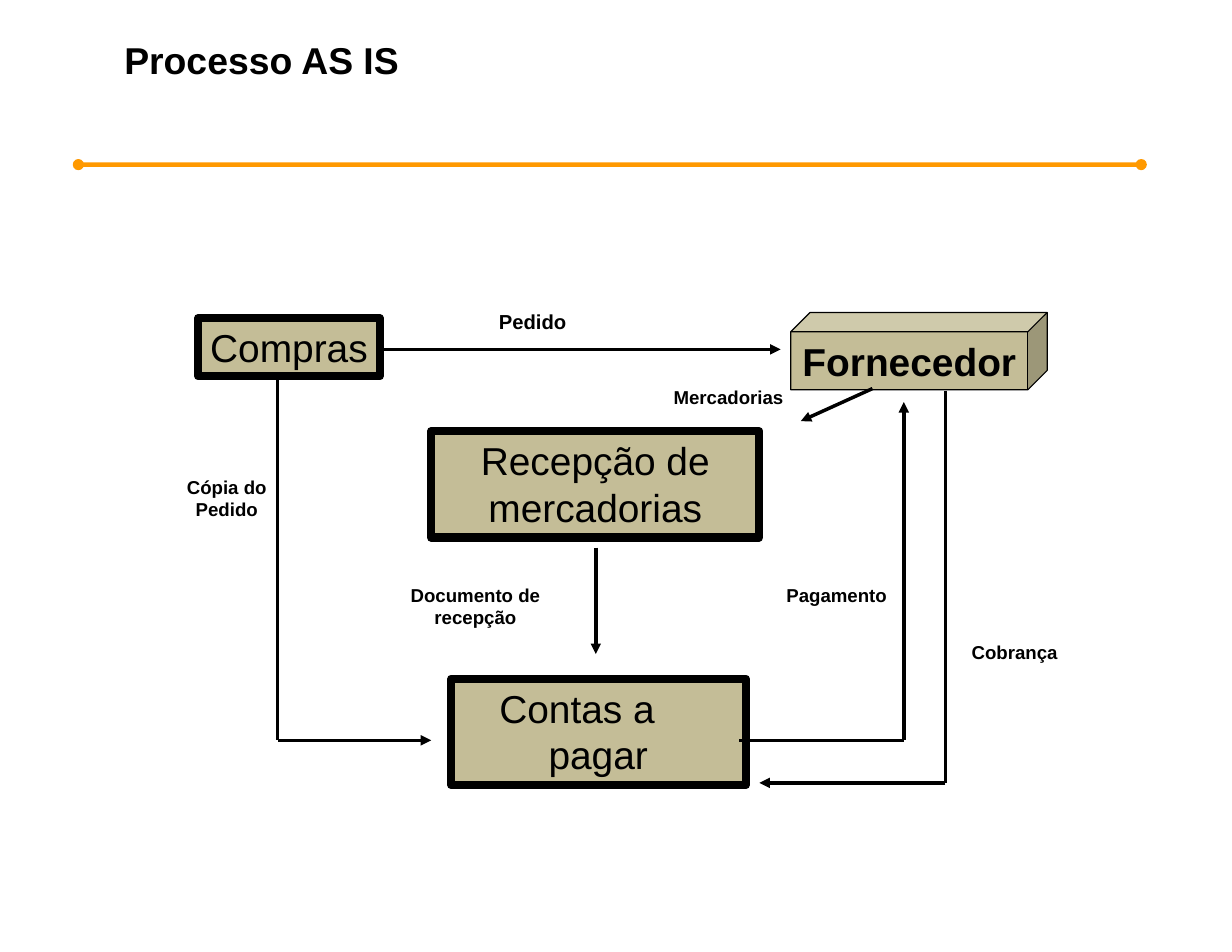
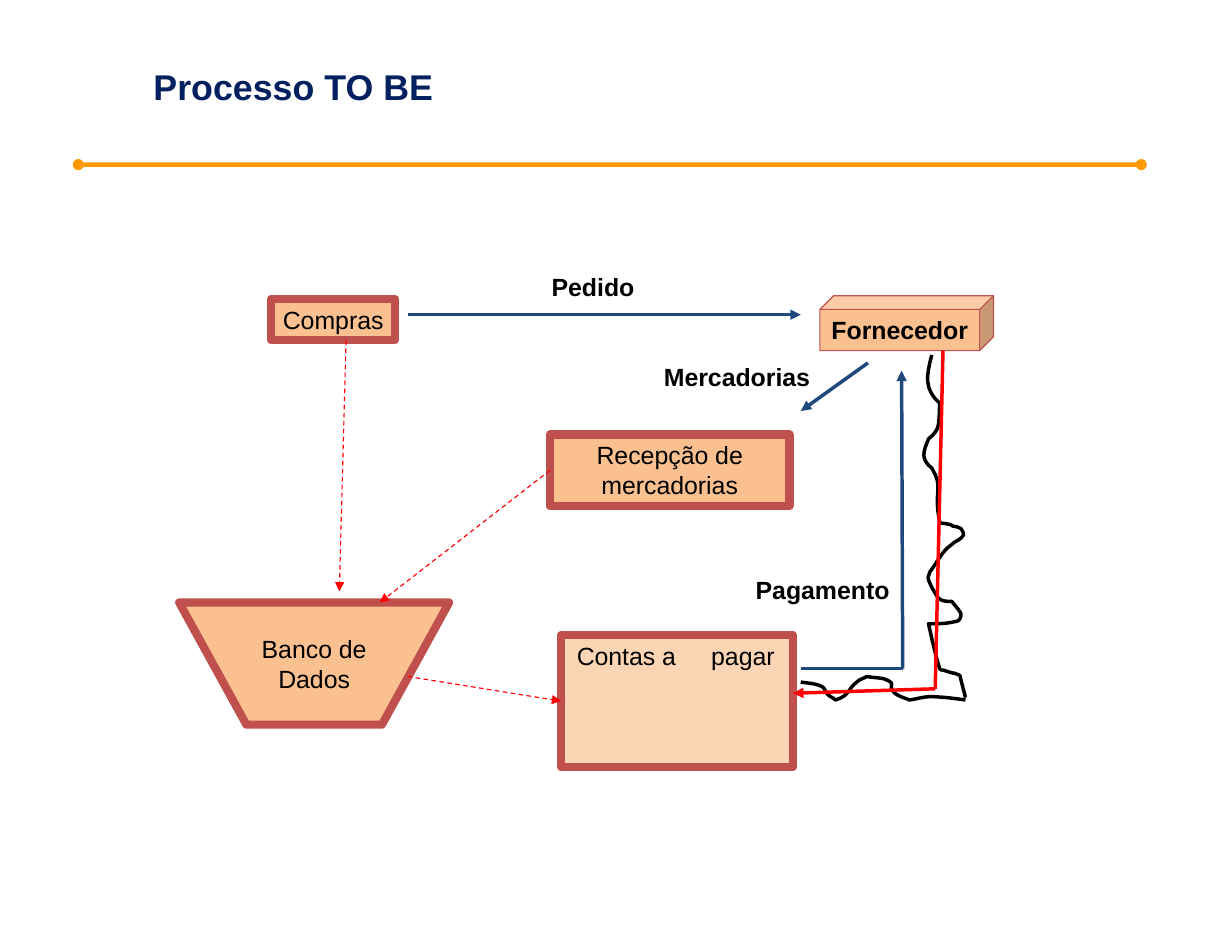
from lxml import etree
from pptx import Presentation, util as u
from pptx.dml.color import RGBColor
from pptx.enum import dml, shapes, text
from pptx.oxml.ns import qn

FONT = "Arial"
COLORS = {
    "black": "000000",
    "navy": "002060",
    "blue": "1F497D",
    "red": "FF0000",
    "orange": "FF9900",
    "khaki": "C4BD97",
    "peach": "FAC090",
    "light peach": "FCD5B5",
    "brick": "C0504D",
}
BORDER = 5.25
FLOW = 2.25
RECTANGLE = shapes.MSO_SHAPE.RECTANGLE
CUBE = shapes.MSO_SHAPE.CUBE
LEFT = text.PP_ALIGN.LEFT
CENTER = text.PP_ALIGN.CENTER
TOP = text.MSO_ANCHOR.TOP
MIDDLE = text.MSO_ANCHOR.MIDDLE


def color(name):
    return RGBColor.from_string(COLORS[name])


def lengths(values):
    return [u.Inches(value) for value in values]


def write(shape, content, size=16, bold=False, ink="black", align=CENTER,
          anchor=TOP, wrap=True, insets=(0.1, 0.05)):
    frame = shape.text_frame
    frame.text = content
    frame.word_wrap = wrap
    frame.auto_size = text.MSO_AUTO_SIZE.NONE
    frame.vertical_anchor = anchor
    frame.margin_left = frame.margin_right = u.Inches(insets[0])
    frame.margin_top = frame.margin_bottom = u.Inches(insets[1])
    for paragraph in frame.paragraphs:
        paragraph.alignment = align
        font = paragraph.font
        for run in paragraph.runs:
            font = run.font
            font.name = FONT
            font.size = u.Pt(size)
            font.bold = bold
            font.color.rgb = color(ink)


def paint(shape, fill=None, line=None, width=BORDER):
    shape.shadow.inherit = False
    if fill:
        shape.fill.solid()
        shape.fill.fore_color.rgb = color(fill)
    else:
        shape.fill.background()
    if line:
        shape.line.color.rgb = color(line)
        shape.line.width = u.Pt(width)
    else:
        shape.line.fill.background()


def add_box(slide, place, content, fill, line, kind=RECTANGLE, width=BORDER,
            **style):
    shape = slide.shapes.add_shape(kind, *lengths(place))
    paint(shape, fill, line, width)
    write(shape, content, **style)
    return shape


def add_label(slide, place, content, size, **style):
    shape = slide.shapes.add_textbox(*lengths(place))
    write(shape, content, size=size, bold=True, **style)


def add_flow(slide, points, ink="black", width=FLOW, dashed=False):
    for start, end in zip(points, points[1:]):
        connector = slide.shapes.add_connector(
            shapes.MSO_CONNECTOR.STRAIGHT, *lengths(start + end))
        connector.line.color.rgb = color(ink)
        connector.line.width = u.Pt(width)
        if dashed:
            connector.line.dash_style = dml.MSO_LINE.DASH
        properties = connector._element.spPr
        etree.SubElement(properties, qn("a:effectLst"))
    outline = properties.find(qn("a:ln"))
    etree.SubElement(outline, qn("a:tailEnd"), type="triangle")


def add_outline(slide, points, closed=False, **look):
    corners = [tuple(lengths(point)) for point in points]
    builder = slide.shapes.build_freeform(*corners[0])
    builder.add_line_segments(corners[1:], close=closed)
    shape = builder.convert_to_shape()
    paint(shape, **look)
    return shape


def add_curve(slide, start, segments, steps=8):
    points = [start]
    for x1, y1, x2, y2, x3, y3 in segments:
        x0, y0 = points[-1]
        for step in range(1, steps + 1):
            t = step / steps
            weights = ((1 - t) ** 3, 3 * t * (1 - t) ** 2,
                       3 * t ** 2 * (1 - t), t ** 3)
            points.append(tuple(
                sum(weight * value for weight, value in zip(weights, values))
                for values in ((x0, x1, x2, x3), (y0, y1, y2, y3))))
    add_outline(slide, points, line="black", width=FLOW)


def add_slide(presentation, title, place, **style):
    slide = presentation.slides.add_slide(presentation.slide_layouts[5])
    heading = slide.shapes.title
    heading.left, heading.top, heading.width, heading.height = lengths(place)
    write(heading, title, bold=True, align=LEFT, insets=(0, 0), **style)
    oval = shapes.MSO_SHAPE.OVAL
    for kind, rule in ((RECTANGLE, (0.7, 1.45, 9.49, 0.04)),
                       (oval, (0.65, 1.42, 0.1, 0.1)),
                       (oval, (10.14, 1.42, 0.1, 0.1))):
        paint(slide.shapes.add_shape(kind, *lengths(rule)), "orange")
    return slide


def build_as_is(presentation):
    slide = add_slide(presentation, "Processo AS IS",
                      (1.11, 0.33, 7.28, 0.79), size=24)
    look = {"fill": "khaki", "line": "black", "size": 25}
    add_box(slide, (1.77, 2.84, 1.62, 0.52), "Compras", wrap=False, **look)
    add_box(slide, (3.85, 3.85, 2.93, 0.95), "Recepção de mercadorias", **look)
    payables = add_box(slide, (4.03, 6.06, 2.63, 0.95), "Contas a pagar",
                       align=LEFT, **look)
    indents = payables.text_frame.paragraphs[0]._p.get_or_add_pPr()
    indents.set("marL", str(u.Inches(0.77)))
    indents.set("indent", str(u.Inches(-0.44)))
    add_box(slide, (7.06, 2.79, 2.29, 0.69), "Fornecedor", kind=CUBE,
            width=0.75, bold=True, wrap=False, **look)

    for points in (
        [(2.48, 3.38), (2.48, 6.61), (3.85, 6.61)],
        [(6.6, 6.61), (8.07, 6.61), (8.07, 3.59)],
        [(8.44, 3.49), (8.44, 6.99), (6.78, 6.99)],
        [(5.32, 4.89), (5.32, 5.84)],
        [(3.39, 3.12), (6.97, 3.12)],
        [(7.79, 3.47), (7.15, 3.76)],
    ):
        add_flow(slide, points)

    add_label(slide, (4.35, 2.71, 0.81, 0.32), "Pedido", 13, wrap=False)
    add_label(slide, (5.91, 3.4, 1.19, 0.3), "Mercadorias", 12, wrap=False)
    for place, content in (
        ((1.47, 4.2, 1.11, 0.51), "Cópia do\nPedido"),
        ((3.19, 5.16, 2.11, 0.51), "Documento de recepção"),
        ((6.78, 5.16, 1.38, 0.3), "Pagamento"),
        ((8.24, 5.67, 1.64, 0.3), "Cobrança"),
    ):
        add_label(slide, place, content, 12)


def build_to_be(presentation):
    slide = add_slide(presentation, "Processo TO BE",
                      (1.37, 0.58, 7.28, 0.39), size=23, ink="navy")
    look = {"fill": "peach", "line": "brick"}
    add_box(slide, (2.42, 2.67, 1.11, 0.37), "Compras", wrap=False, **look)
    add_box(slide, (4.91, 3.88, 2.14, 0.64), "Recepção de mercadorias", **look)
    payables = add_box(slide, (5.01, 5.67, 2.07, 1.18), "Contas a\tpagar",
                       "light peach", "brick", align=LEFT, insets=(0.14, 0.05))
    properties = payables.text_frame.paragraphs[0]._p.get_or_add_pPr()
    stops = etree.SubElement(properties, qn("a:tabLst"))
    etree.SubElement(stops, qn("a:tab"), pos=str(u.Inches(1.2)), algn="l")
    add_box(slide, (7.32, 2.64, 1.55, 0.49), "Fornecedor", kind=CUBE,
            width=0.75, bold=True, wrap=False, **look)
    database = add_outline(
        slide, [(1.6, 5.38), (2.2, 6.47), (3.41, 6.47), (4.01, 5.38)],
        closed=True, **look)
    write(database, "Banco de Dados", anchor=MIDDLE, insets=(0.6, 0.05))

    add_curve(slide, (8.32, 3.17), [
        (8.27, 3.35, 8.25, 3.48, 8.39, 3.6),
        (8.38, 3.79, 8.4, 3.83, 8.29, 3.92),
        (8.24, 4.04, 8.22, 4.1, 8.32, 4.18),
        (8.43, 4.36, 8.33, 4.38, 8.39, 4.66),
        (8.4, 4.68, 8.44, 4.67, 8.46, 4.68),
        (8.48, 4.68, 8.5, 4.69, 8.51, 4.7),
        (8.54, 4.7, 8.56, 4.71, 8.58, 4.72),
        (8.59, 4.74, 8.61, 4.76, 8.6, 4.78),
        (8.58, 4.82, 8.53, 4.83, 8.5, 4.86),
        (8.41, 4.92, 8.37, 5.02, 8.3, 5.11),
        (8.3, 5.13, 8.28, 5.15, 8.29, 5.17),
        (8.29, 5.2, 8.37, 5.34, 8.39, 5.35),
        (8.42, 5.37, 8.46, 5.37, 8.5, 5.37),
        (8.5, 5.38, 8.59, 5.47, 8.58, 5.49),
        (8.58, 5.52, 8.56, 5.55, 8.53, 5.55),
        (8.45, 5.57, 8.37, 5.57, 8.29, 5.57),
        (8.32, 5.7, 8.35, 5.84, 8.39, 5.97),
        (8.4, 5.99, 8.43, 5.98, 8.44, 5.99),
        (8.6, 6.04, 8.44, 5.98, 8.57, 6.03),
        (8.58, 6.07, 8.59, 6.11, 8.6, 6.15),
        (8.61, 6.18, 8.62, 6.23, 8.62, 6.23),
    ])
    add_curve(slide, (7.15, 6.09), [
        (7.21, 6.1, 7.28, 6.1, 7.34, 6.13),
        (7.37, 6.15, 7.37, 6.18, 7.39, 6.2),
        (7.41, 6.22, 7.44, 6.23, 7.46, 6.25),
        (7.59, 6.21, 7.57, 6.15, 7.65, 6.09),
        (7.68, 6.06, 7.71, 6.06, 7.74, 6.04),
        (7.79, 6.05, 7.84, 6.05, 7.89, 6.06),
        (8.02, 6.11, 7.92, 6.1, 7.98, 6.18),
        (8.02, 6.22, 8.08, 6.23, 8.12, 6.25),
        (8.19, 6.24, 8.25, 6.22, 8.31, 6.22),
        (8.42, 6.22, 8.62, 6.25, 8.62, 6.25),
    ])

    for points in (
        [(7.15, 5.97), (8.06, 5.97), (8.05, 3.31)],
        [(7.75, 3.24), (7.15, 3.67)],
        [(3.64, 2.81), (7.15, 2.81)],
    ):
        add_flow(slide, points, "blue")
    add_flow(slide, [(8.42, 3.13), (8.35, 6.15), (7.08, 6.19)], "red")
    for points in (
        [(3.64, 6.04), (5.01, 6.26)],
        [(3.09, 3.04), (3.03, 5.28)],
        [(4.91, 4.2), (3.39, 5.38)],
    ):
        add_flow(slide, points, "red", width=0.75, dashed=True)

    for place, content in (
        ((4.82, 2.38, 0.95, 0.37), "Pedido"),
        ((6.64, 5.08, 1.41, 0.37), "Pagamento"),
        ((5.82, 3.18, 1.52, 0.37), "Mercadorias"),
    ):
        add_label(slide, place, content, 16, wrap=False)


def main():
    presentation = Presentation()
    presentation.slide_width = u.Inches(11)
    presentation.slide_height = u.Inches(8.5)
    build_as_is(presentation)
    build_to_be(presentation)
    presentation.save("out.pptx")


if __name__ == "__main__":
    main()
